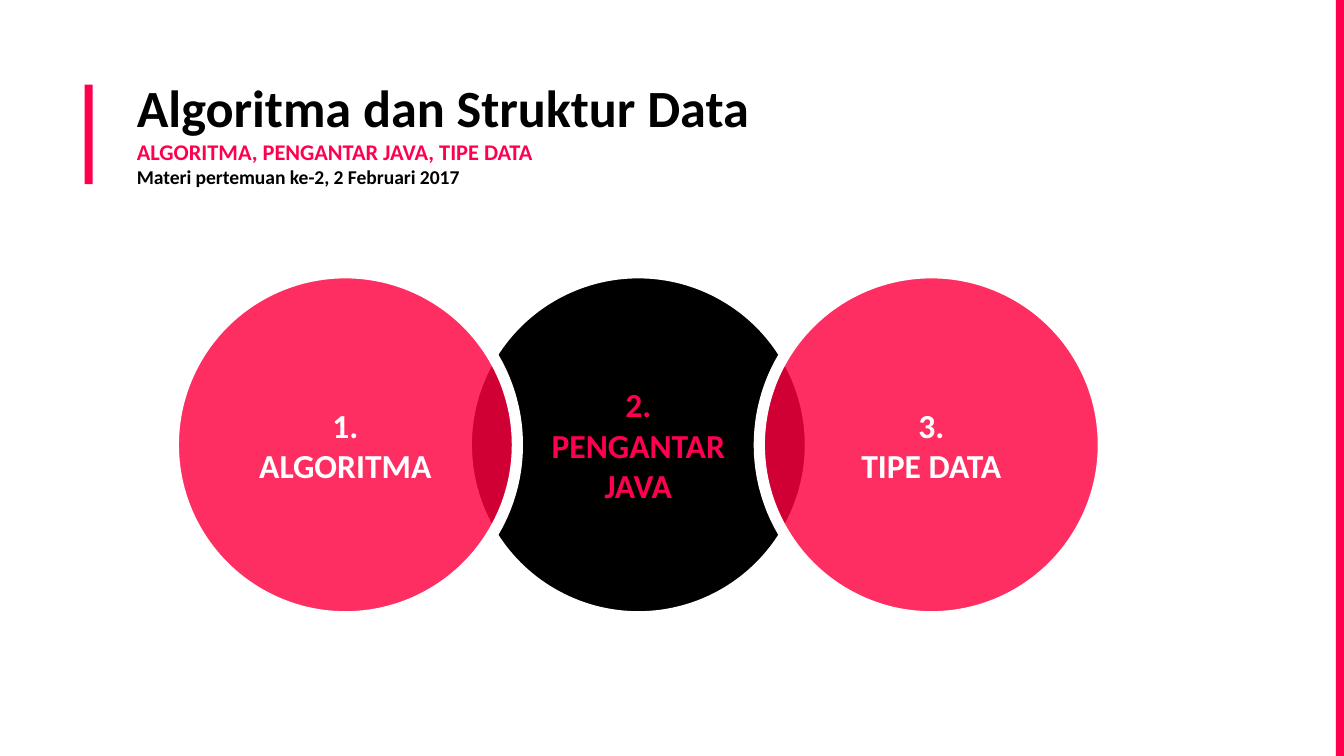
"""Build the agenda slide with three overlapping topic circles."""
import copy

import pptx
import pptx.dml.color
import pptx.enum.shapes
import pptx.enum.text
import pptx.oxml.ns
import pptx.util
from lxml import etree

Inches = pptx.util.Inches
Pt = pptx.util.Pt
SHAPE = pptx.enum.shapes.MSO_SHAPE
ANCHOR = pptx.enum.text.MSO_ANCHOR
ALIGN = pptx.enum.text.PP_ALIGN
qn = pptx.oxml.ns.qn

SLIDE_W = 10
SLIDE_H = SLIDE_W * 9 / 16


def color(value):
    return pptx.dml.color.RGBColor.from_string(value)


class SlideBuilder:
    FONT = "Calibri"
    BLACK = "000000"
    WHITE = "FFFFFF"
    ACCENT = "FF004E"
    CIRCLE = "FF0040"

    def __init__(self, slide):
        self.s = slide

    def style_run(self, r, size, hex_color):
        r.font.name = self.FONT
        r.font.size = Pt(size)
        r.font.bold = True
        r.font.color.rgb = color(hex_color)

    def set_frame(self, tf, anchor):
        tf.word_wrap = True
        tf.vertical_anchor = anchor
        tf.margin_left = tf.margin_right = Inches(0.1)
        tf.margin_top = tf.margin_bottom = Inches(0.1)

    def shape(self, kind, x, y, w, h, fill):
        sp = self.s.shapes.add_shape(kind, Inches(x), Inches(y), Inches(w), Inches(h))
        sp.shadow.inherit = False
        sp.fill.solid()
        sp.fill.fore_color.rgb = color(fill)
        sp.line.fill.background()
        return sp

    def bar(self, x, y, w, h):
        self.shape(SHAPE.RECTANGLE, x, y, w, h, self.ACCENT)

    def heading(self, x, y, w, h, lines):
        sp = self.s.shapes.add_textbox(Inches(x), Inches(y), Inches(w), Inches(h))
        tf = sp.text_frame
        self.set_frame(tf, ANCHOR.TOP)
        p = tf.paragraphs[0]
        p.text = "\v".join(text for text, _, _ in lines)
        for r, (_, size, hex_color) in zip(p.runs, lines):
            self.style_run(r, size, hex_color)
        for br, r in zip(p._p.findall(qn("a:br")), p.runs):
            br.append(copy.deepcopy(r._r.rPr))

    def circle(self, x, y, size, text, fill, text_color, opacity=None):
        sp = self.shape(SHAPE.OVAL, x, y, size, size, fill)
        sp.line.color.rgb = color(self.WHITE)
        sp.line.width = Pt(6)
        if opacity:
            srgb = sp._element.spPr.find(qn("a:solidFill")).find(qn("a:srgbClr"))
            etree.SubElement(srgb, qn("a:alpha"), val=str(opacity * 1000))
        tf = sp.text_frame
        self.set_frame(tf, ANCHOR.MIDDLE)
        tf.text = text
        for p in tf.paragraphs:
            p.alignment = ALIGN.CENTER
            for r in p.runs:
                self.style_run(r, 18, text_color)


def main():
    prs = pptx.Presentation()
    prs.slide_width = Inches(SLIDE_W)
    prs.slide_height = Inches(SLIDE_H)
    b = SlideBuilder(prs.slides.add_slide(prs.slide_layouts[6]))

    b.bar(0.63, 0.63, 0.06, 0.74)
    b.bar(SLIDE_W - 0.06, 0, 0.06, SLIDE_H)
    b.heading(0.92, 0.46, 8.72, 0.94, [
        ("Algoritma dan Struktur Data", 28, b.BLACK),
        ("ALGORITMA, PENGANTAR JAVA, TIPE DATA", 12, b.ACCENT),
        ("Materi pertemuan ke-2, 2 Februari 2017", 10.5, b.BLACK),
    ])

    left, top, size, step = 1.29, 2.03, 2.56, 2.18
    b.circle(left + step, top, size, "2.\nPENGANTAR JAVA", b.BLACK, b.ACCENT)
    for i, text in ((0, "1.\nALGORITMA"), (2, "3.\nTIPE DATA")):
        b.circle(left + i * step, top, size, text, b.CIRCLE, b.WHITE, opacity=82)

    prs.save("out.pptx")


if __name__ == "__main__":
    main()
